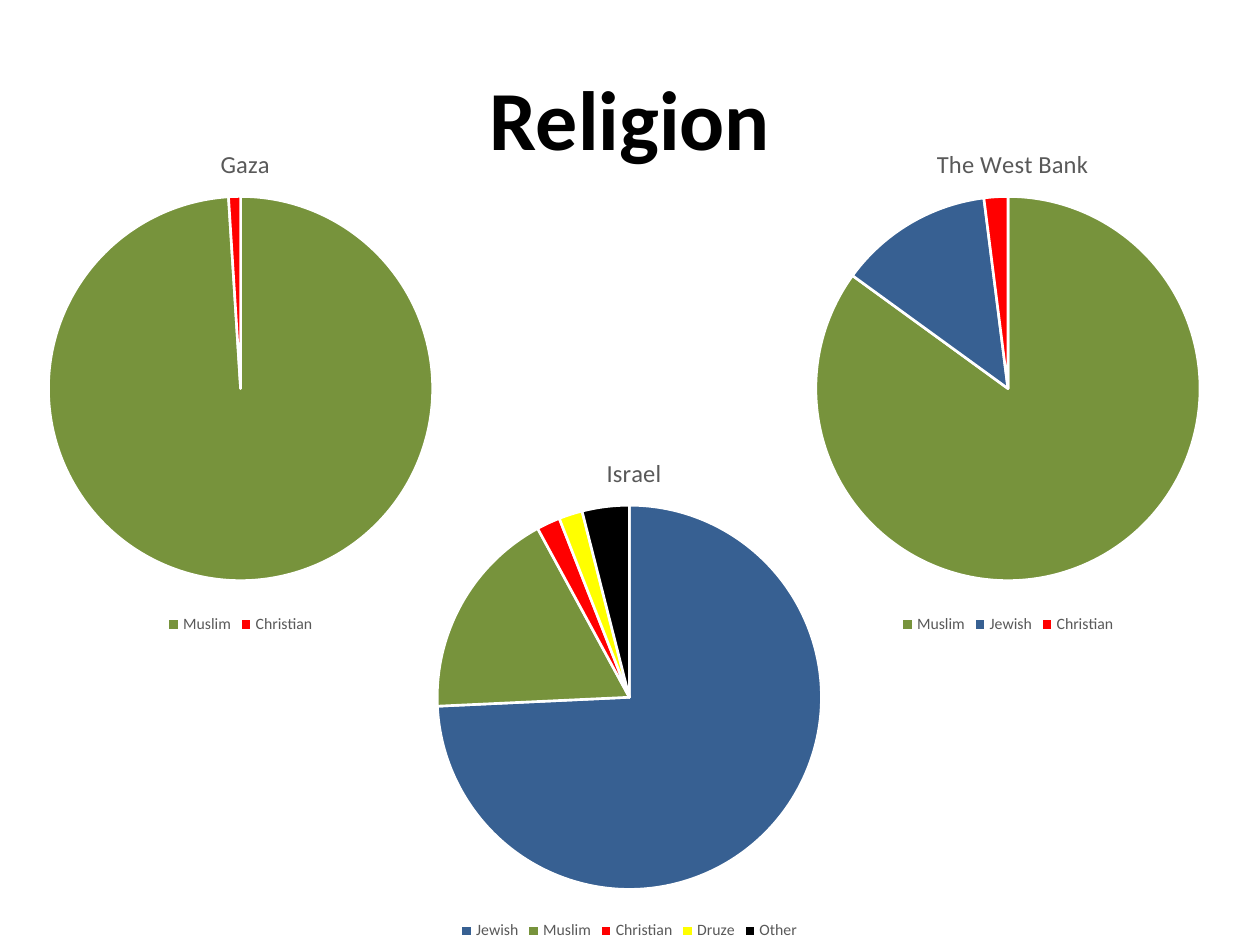
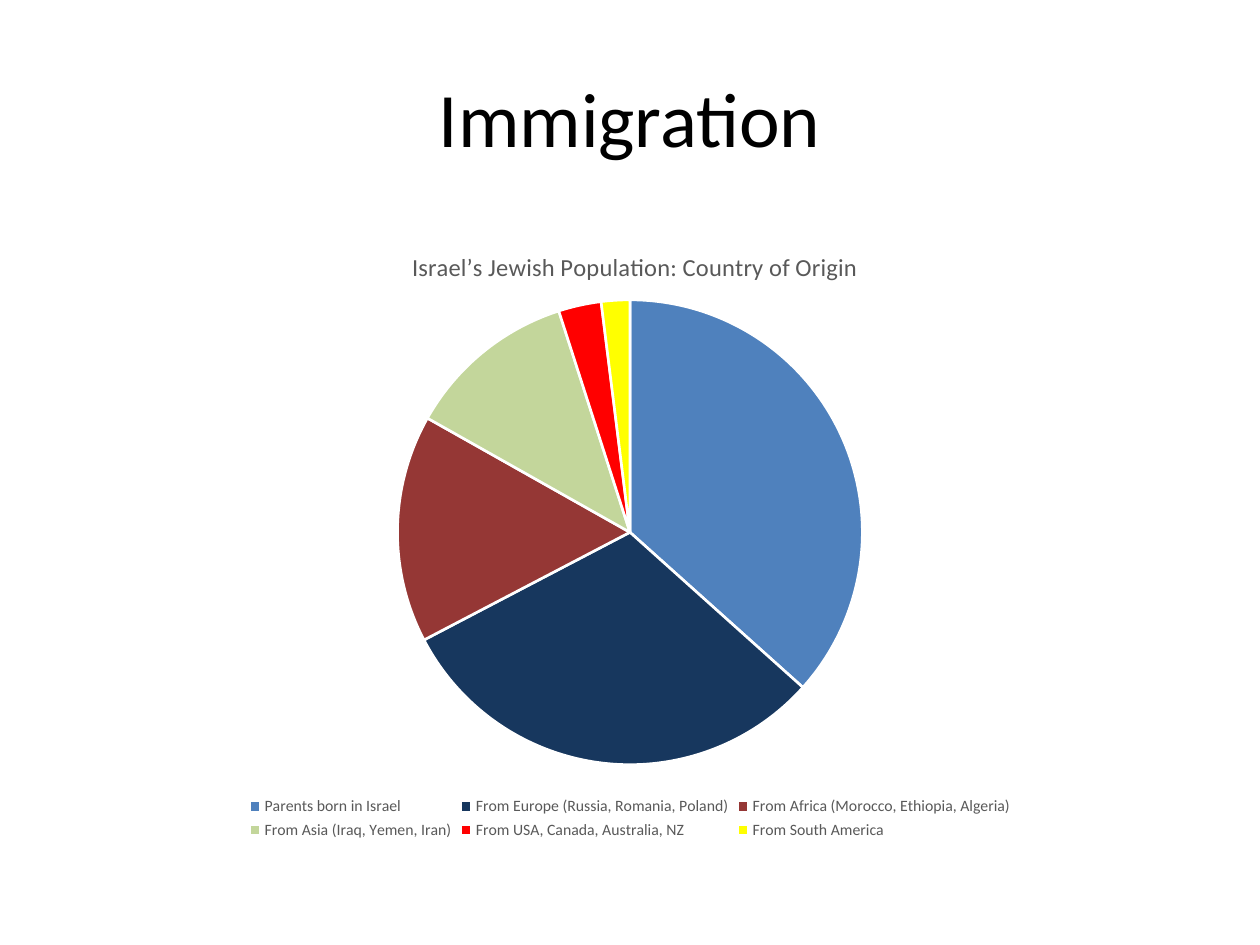
from dataclasses import dataclass

from lxml.etree import _Element as XmlElement
from pptx import Presentation
from pptx.chart.chart import Chart
from pptx.chart.data import CategoryChartData
from pptx.dml.color import RGBColor
from pptx.enum.chart import XL_CHART_TYPE as ChartType, XL_LEGEND_POSITION as LegendPosition
from pptx.enum.text import MSO_ANCHOR as Anchor, PP_ALIGN as Align
from pptx.oxml import parse_xml
from pptx.oxml.ns import nsdecls, qn
from pptx.slide import Slide
from pptx.text.text import Font
from pptx.util import Inches, Pt

FONT = "Calibri"
BLACK, WHITE, GREY = "000000", "FFFFFF", "595959"
GREEN, BLUE, RED, YELLOW = "77933C", "376092", "FF0000", "FFFF00"
RELIGION_COLORS = {"Jewish": BLUE, "Muslim": GREEN, "Christian": RED, "Druze": YELLOW, "Other": BLACK}
ORIGIN_COLORS = {
    "Parents born in Israel": "4F81BD",
    "From Europe (Russia, Romania, Poland)": "17375E",
    "From Africa (Morocco, Ethiopia, Algeria)": "953735",
    "From Asia (Iraq, Yemen, Iran)": "C3D69B",
    "From USA, Canada, Australia, NZ": RED,
    "From South America": YELLOW,
}
CAPTION_TOP, PIE_TOP = 0.2, 0.63


@dataclass
class Pie:
    """A pie chart; all lengths are in inches."""
    caption: str
    caption_width: float
    left: float
    top: float
    width: float
    height: float
    diameter: float
    shares: dict[str, int]
    colors: dict[str, str]


RELIGION_PIES = [
    Pie("Israel", 0.43, 1.62, 3.38, 6.75, 4.12, 3.05,
        {"Jewish": 75, "Muslim": 18, "Christian": 2, "Druze": 2, "Other": 4}, RELIGION_COLORS),
    Pie("The West Bank", 1.2, 4.75, 0.93, 6.5, 4.14, 3.05,
        {"Muslim": 85, "Jewish": 13, "Christian": 2}, RELIGION_COLORS),
    Pie("Gaza", 0.39, -1.38, 0.93, 6.58, 4.14, 3.05,
        {"Muslim": 99, "Christian": 1}, RELIGION_COLORS),
]
ORIGIN_PIE = Pie("Israel’s Jewish Population: Country of Origin", 3.53, 0.5, 1.75, 9, 4.95, 3.69,
                 dict(zip(ORIGIN_COLORS, (37, 31, 16, 12, 3, 2))), ORIGIN_COLORS)


def rgb(color: str) -> RGBColor:
    return RGBColor.from_string(color)


def style_font(font: Font, size: float, color: str, bold: bool = False) -> None:
    font.name, font.size, font.bold = FONT, Pt(size), bold
    font.color.rgb = rgb(color)


def place_part(part: XmlElement, index: int, inner: bool = False, **fractions: float) -> None:
    """Give a chart part a manual layout in fractions of the chart."""
    for layout in part.findall(qn("c:layout")):
        part.remove(layout)
    target = '<c:layoutTarget val="inner"/>' if inner else ""
    modes = '<c:xMode val="edge"/><c:yMode val="edge"/>'
    values = "".join(f'<c:{name} val="{value:.4f}"/>' for name, value in fractions.items())
    part.insert(index, parse_xml(
        f'<c:layout {nsdecls("c")}><c:manualLayout>{target}{modes}{values}'
        "</c:manualLayout></c:layout>"))


def arrange(chart: Chart, pie: Pie) -> None:
    """Centre the caption and the circle across the chart."""
    place_part(chart.chart_title.element, 1,
               x=(1 - pie.caption_width / pie.width) / 2, y=CAPTION_TOP / pie.height)
    plot_area = chart.element.find(qn("c:chart")).find(qn("c:plotArea"))
    across = pie.diameter / pie.width
    place_part(plot_area, 0, inner=True, x=(1 - across) / 2, y=PIE_TOP / pie.height,
               w=across, h=pie.diameter / pie.height)


def add_pie(page: Slide, pie: Pie) -> None:
    data = CategoryChartData()
    data.categories = list(pie.shares)
    data.add_series("Series 1", list(pie.shares.values()))
    bounds = [Inches(length) for length in (pie.left, pie.top, pie.width, pie.height)]
    chart = page.shapes.add_chart(ChartType.PIE, *bounds, data).chart
    style_font(chart.font, 10, BLACK)

    caption = chart.chart_title.text_frame
    caption.text = pie.caption
    style_font(caption.paragraphs[0].runs[0].font, 14, GREY)

    chart.has_legend = True
    chart.legend.position = LegendPosition.BOTTOM
    chart.legend.include_in_layout = False
    style_font(chart.legend.font, 9, GREY)

    plot = chart.plots[0]
    plot.vary_by_categories = True
    for index, name in enumerate(pie.shares):
        look = plot.series[0].points[index].format
        look.fill.solid()
        look.fill.fore_color.rgb = rgb(pie.colors[name])
        look.line.color.rgb = rgb(WHITE)
        look.line.width = Pt(1.5)
    arrange(chart, pie)


def add_page(deck: Presentation, heading: str, size: float, bold: bool, pies: list[Pie]) -> None:
    page = deck.slides.add_slide(deck.slide_layouts[5])
    title = page.shapes.title
    title.left, title.top, title.width, title.height = map(Inches, (0.5, 0.3, 9, 1.25))
    title.text_frame.text = heading
    title.text_frame.vertical_anchor = Anchor.MIDDLE
    para = title.text_frame.paragraphs[0]
    para.alignment = Align.CENTER
    style_font(para.runs[0].font, size, BLACK, bold)
    for pie in pies:
        add_pie(page, pie)


def main() -> None:
    deck = Presentation()
    deck.slide_width, deck.slide_height = Inches(10), Inches(7.5)
    add_page(deck, "Religion", 48, True, RELIGION_PIES)
    add_page(deck, "Immigration", 44, False, [ORIGIN_PIE])
    deck.save("out.pptx")


if __name__ == "__main__":
    main()
